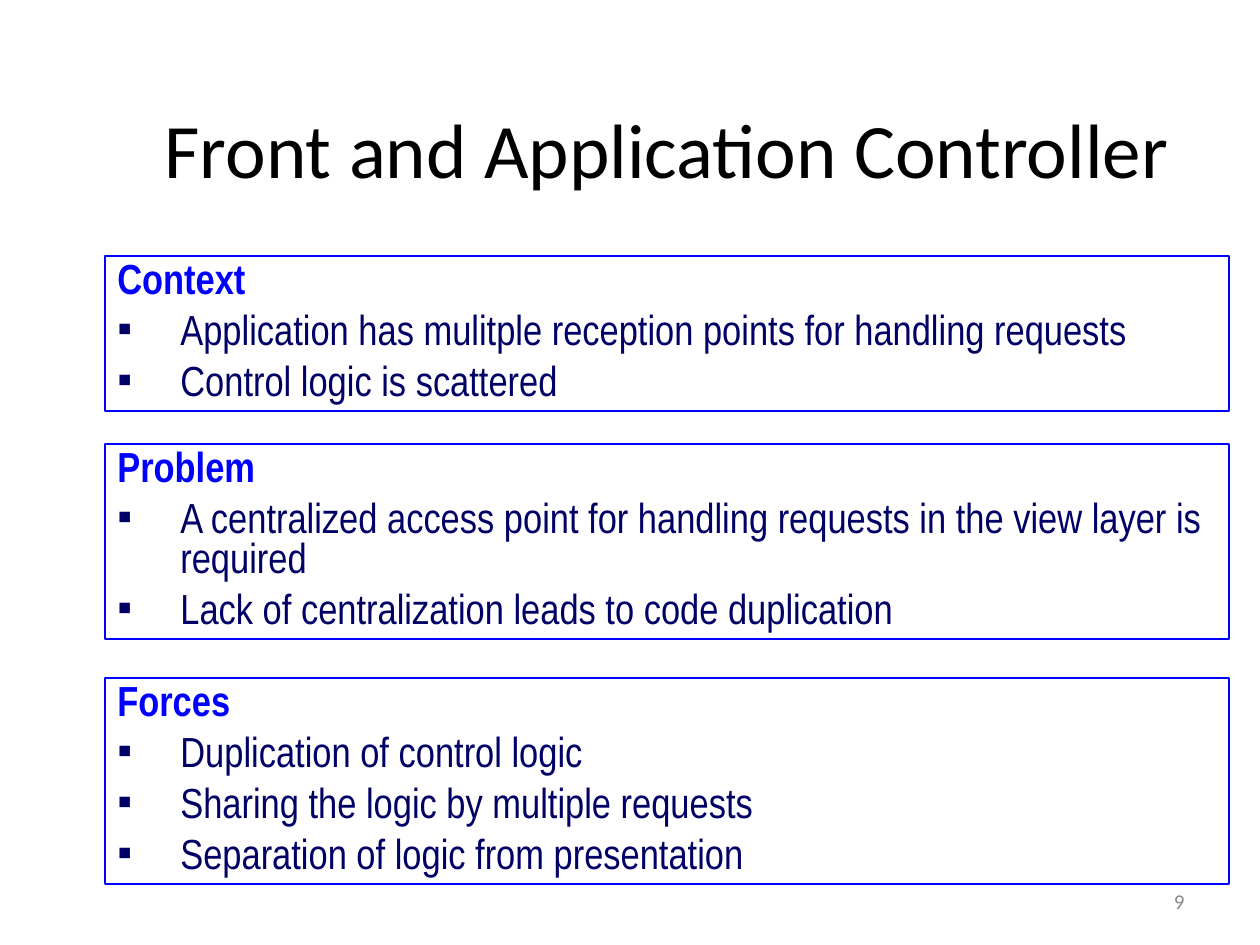
import dataclasses

import lxml.etree
import pptx
import pptx.dml.color
import pptx.enum.shapes
import pptx.enum.text
import pptx.oxml.ns
import pptx.util

EMU_PER_PX = 914400 / 126
ALIGN = pptx.enum.text.PP_ALIGN
ANCHOR = pptx.enum.text.MSO_ANCHOR


@dataclasses.dataclass(frozen=True)
class Theme:
    title_font: str = "Calibri"
    body_font: str = "Arial Narrow"
    title_color: str = "000000"
    accent: str = "0000FF"
    body_color: str = "000066"
    number_color: str = "898989"
    title_size: int = 44
    body_size: int = 24
    number_size: int = 12


THEME = Theme()
PANEL_LEFT, PANEL_WIDTH = 105, 1124
INDENT = 63

# Each panel: top, height, heading, bullet points.
PANELS = [
    (256, 155, "Context", [
        "Application has mulitple reception points for handling requests",
        "Control logic is scattered",
    ]),
    (444, 195, "Problem", [
        "A centralized access point for handling requests in the view layer is required",
        "Lack of centralization leads to code duplication",
    ]),
    (678, 206, "Forces", [
        "Duplication of control logic",
        "Sharing the logic by multiple requests",
        "Separation of logic from presentation",
    ]),
]


def px(length):
    return pptx.util.Emu(round(length * EMU_PER_PX))


def rgb(color):
    return pptx.dml.color.RGBColor.from_string(color)


def write(para, text, *, font, size, color, bold=False, align=ALIGN.LEFT):
    para.alignment = align
    span = para.add_run()
    span.text = text
    span.font.name = font
    span.font.size = pptx.util.Pt(size)
    span.font.bold = bold
    span.font.color.rgb = rgb(color)


def add_bullet(para, color):
    """Give the paragraph a hanging square bullet."""
    properties = para._p.get_or_add_pPr()
    properties.set("marL", str(px(INDENT)))
    properties.set("indent", str(-px(INDENT)))
    qn = pptx.oxml.ns.qn
    bullet_color = lxml.etree.SubElement(properties, qn("a:buClr"))
    lxml.etree.SubElement(bullet_color, qn("a:srgbClr"), val=color)
    lxml.etree.SubElement(properties, qn("a:buFont"), typeface="Arial")
    lxml.etree.SubElement(properties, qn("a:buChar"), char="▪")


def add_label(page, text, left, top, width, height, **text_format):
    box = page.shapes.add_textbox(px(left), px(top), px(width), px(height))
    box.text_frame.word_wrap = True
    box.text_frame.vertical_anchor = ANCHOR.MIDDLE
    write(box.text_frame.paragraphs[0], text, **text_format)


def add_panel(page, top, height, heading, points):
    box = page.shapes.add_shape(
        pptx.enum.shapes.MSO_SHAPE.RECTANGLE,
        px(PANEL_LEFT), px(top), px(PANEL_WIDTH), px(height))
    box.shadow.inherit = False
    box.fill.background()
    box.line.color.rgb = rgb(THEME.accent)
    box.line.width = pptx.util.Pt(1)
    frame = box.text_frame
    frame.word_wrap = True
    frame.auto_size = pptx.enum.text.MSO_AUTO_SIZE.SHAPE_TO_FIT_TEXT
    frame.vertical_anchor = ANCHOR.TOP
    body = {"font": THEME.body_font, "size": THEME.body_size}
    title = frame.paragraphs[0]
    title.line_spacing = 0.8
    write(title, heading, color=THEME.accent, bold=True, **body)
    for point in points:
        para = frame.add_paragraph()
        add_bullet(para, THEME.body_color)
        para.line_spacing = 0.8
        para.space_before = pptx.util.Pt(6)
        write(para, point, color=THEME.body_color, **body)


def main():
    deck = pptx.Presentation()
    deck.slide_width, deck.slide_height = px(1260), px(945)
    page = deck.slides.add_slide(deck.slide_layouts[6])
    add_label(page, "Front and Application Controller",
              PANEL_LEFT, 111, PANEL_WIDTH, 73,
              font=THEME.title_font, size=THEME.title_size,
              color=THEME.title_color, align=ALIGN.CENTER)
    for panel in PANELS:
        add_panel(page, *panel)
    add_label(page, "9", 903, 876, 294, 50,
              font=THEME.title_font, size=THEME.number_size,
              color=THEME.number_color, align=ALIGN.RIGHT)
    deck.save("out.pptx")


if __name__ == "__main__":
    main()
